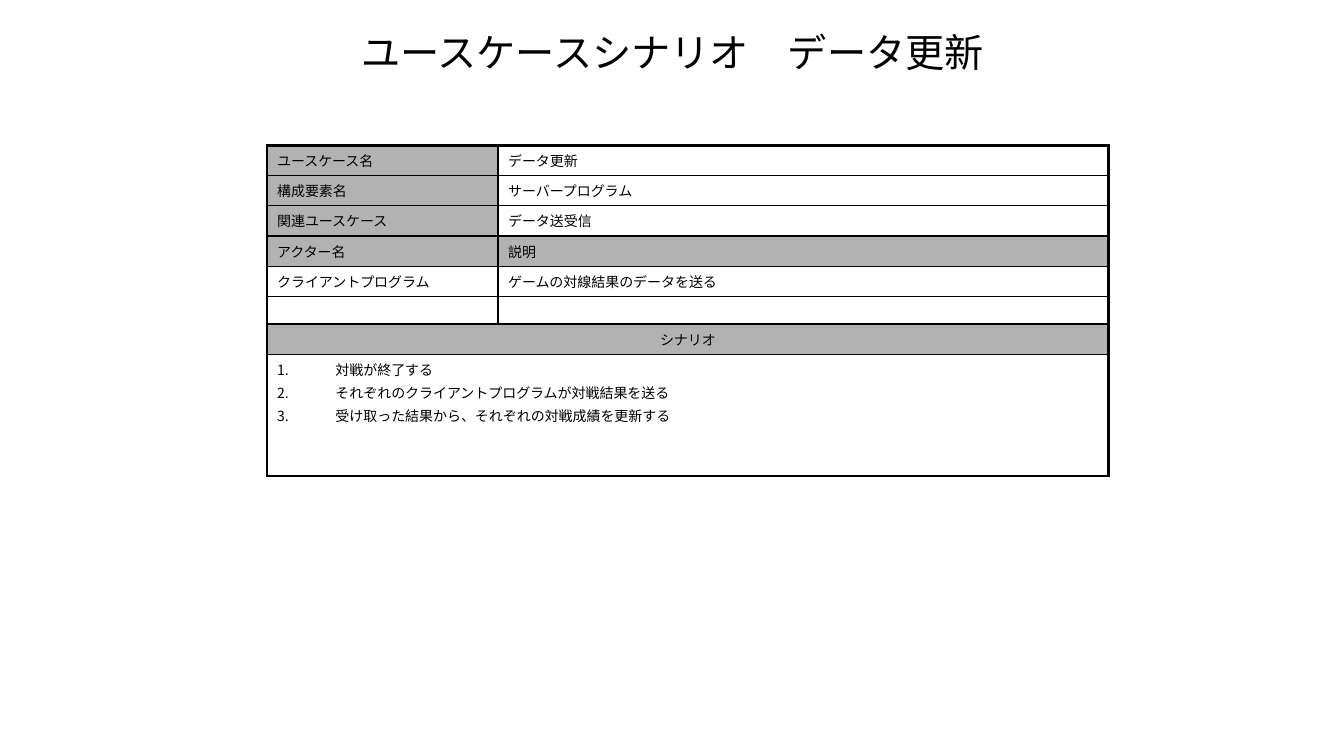
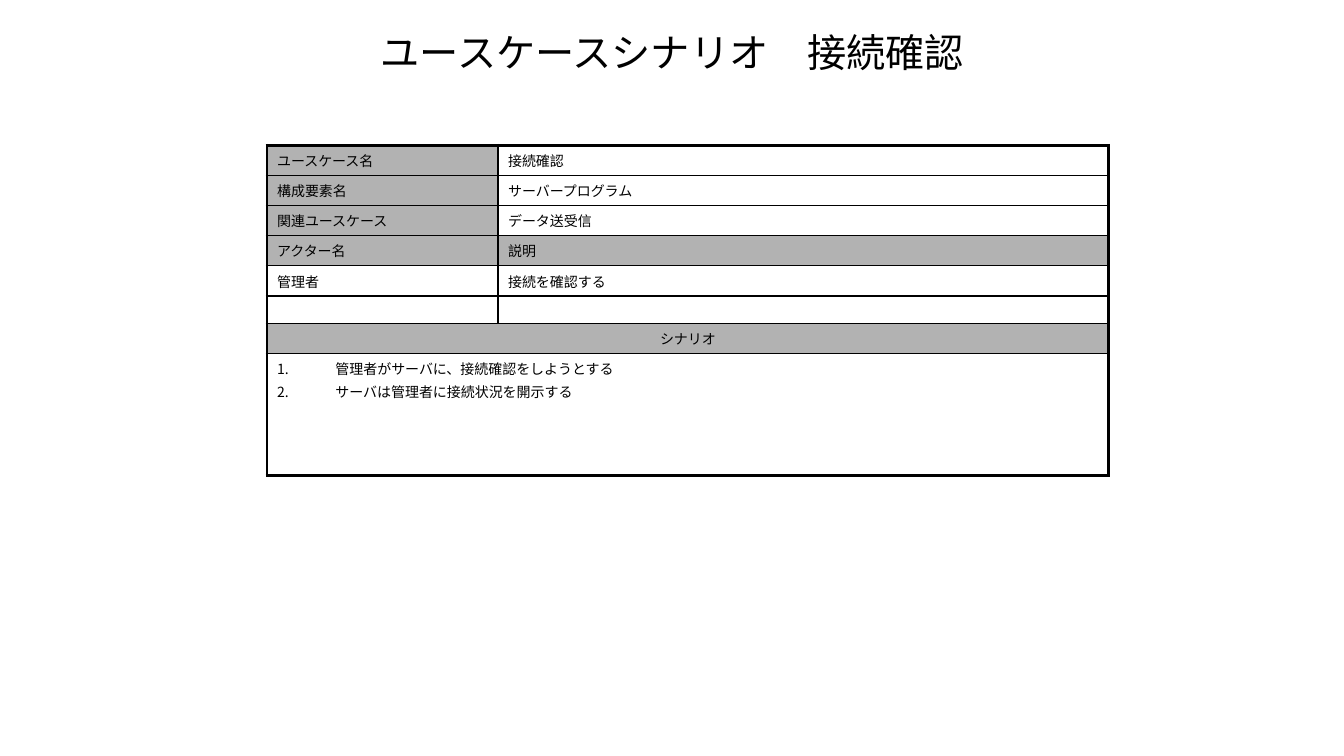
from pptx import Presentation
from pptx.util import Cm, Pt
from pptx.dml.color import RGBColor
from pptx.enum.text import PP_ALIGN, MSO_ANCHOR
from lxml.etree import SubElement
from pptx.oxml.ns import qn

INK, GRAY, FONT = "000000", "B2B2B2", "Times New Roman"
THIN, THICK = 1, 2.25
HEIGHTS = [0.76] * 5 + [0.69, 0.76, 3.07]
SHADED = {(0, 0), (1, 0), (2, 0), (3, 0), (3, 1), (6, 0), (6, 1)}
HEAD, LIST = 6, 7

cases = [
    ("データ更新", "クライアントプログラム", "ゲームの対線結果のデータを送る",
     ["対戦が終了する",
      "それぞれのクライアントプログラムが対戦結果を送る",
      "受け取った結果から、それぞれの対戦成績を更新する"]),
    ("接続確認", "管理者", "接続を確認する",
     ["管理者がサーバに、接続確認をしようとする",
      "サーバは管理者に接続状況を開示する"]),
]


def style(para, size):
    for run in para.runs:
        run.font.size = Pt(size)
        run.font.name = FONT
        run.font.color.rgb = RGBColor.from_string(INK)


def border(cell, sides):
    props = cell._tc.get_or_add_tcPr()
    for side, width in sides.items():
        line = SubElement(props, qn("a:ln" + side), w=str(Pt(width)))
        fill = SubElement(line, qn("a:solidFill"))
        SubElement(fill, qn("a:srgbClr"), val=INK)


deck = Presentation()
deck.slide_width, deck.slide_height = Cm(33.87), Cm(19.05)

for name, actor, role, steps in cases:
    slide = deck.slides.add_slide(deck.slide_layouts[6])

    frame = slide.shapes.add_table(
        8, 2, Cm(6.73), Cm(3.66), Cm(21.21), Cm(sum(HEIGHTS)))
    table = frame.table
    table.first_row = table.horz_banding = False
    table.columns[0].width, table.columns[1].width = Cm(5.82), Cm(15.39)
    for row, height in zip(table.rows, HEIGHTS):
        row.height = Cm(height)
    for r in (HEAD, LIST):
        table.cell(r, 0).merge(table.cell(r, 1))

    texts = [
        ("ユースケース名", name),
        ("構成要素名", "サーバープログラム"),
        ("関連ユースケース", "データ送受信"),
        ("アクター名", "説明"),
        (actor, role),
        ("", ""),
        ("シナリオ", ""),
        ("\n".join(steps), ""),
    ]
    for r, pair in enumerate(texts):
        for c, text in enumerate(pair):
            cell = table.cell(r, c)
            border(cell, {
                "L": THICK if c == 0 else THIN,
                "R": THICK if c == 1 or r >= HEAD else THIN,
                "T": THICK if r == 0 else THIN,
                "B": THICK if r == LIST else THIN,
            })
            if (r, c) in SHADED:
                cell.fill.solid()
                cell.fill.fore_color.rgb = RGBColor.from_string(GRAY)
            else:
                cell.fill.background()
            cell.text_frame.text = text
            for para in cell.text_frame.paragraphs:
                if not text:
                    SubElement(para._p, qn("a:endParaRPr"), sz="800")
                    continue
                para.space_before = Pt(2)
                style(para, 10)
                if r == HEAD:
                    para.alignment = PP_ALIGN.CENTER
                if r == LIST:
                    props = para._p.get_or_add_pPr()
                    props.set("marL", str(Cm(1.47)))
                    props.set("indent", str(-Cm(1.47)))
                    SubElement(props, qn("a:buAutoNum"), type="arabicPeriod")

    title = slide.shapes.add_textbox(Cm(6.15), Cm(0.69), Cm(21.59), Cm(1.22))
    body = title.text_frame
    body.word_wrap = True
    body.vertical_anchor = MSO_ANCHOR.MIDDLE
    body.text = "ユースケースシナリオ\u3000" + name
    body.paragraphs[0].alignment = PP_ALIGN.CENTER
    style(body.paragraphs[0], 28)

deck.save("out.pptx")
